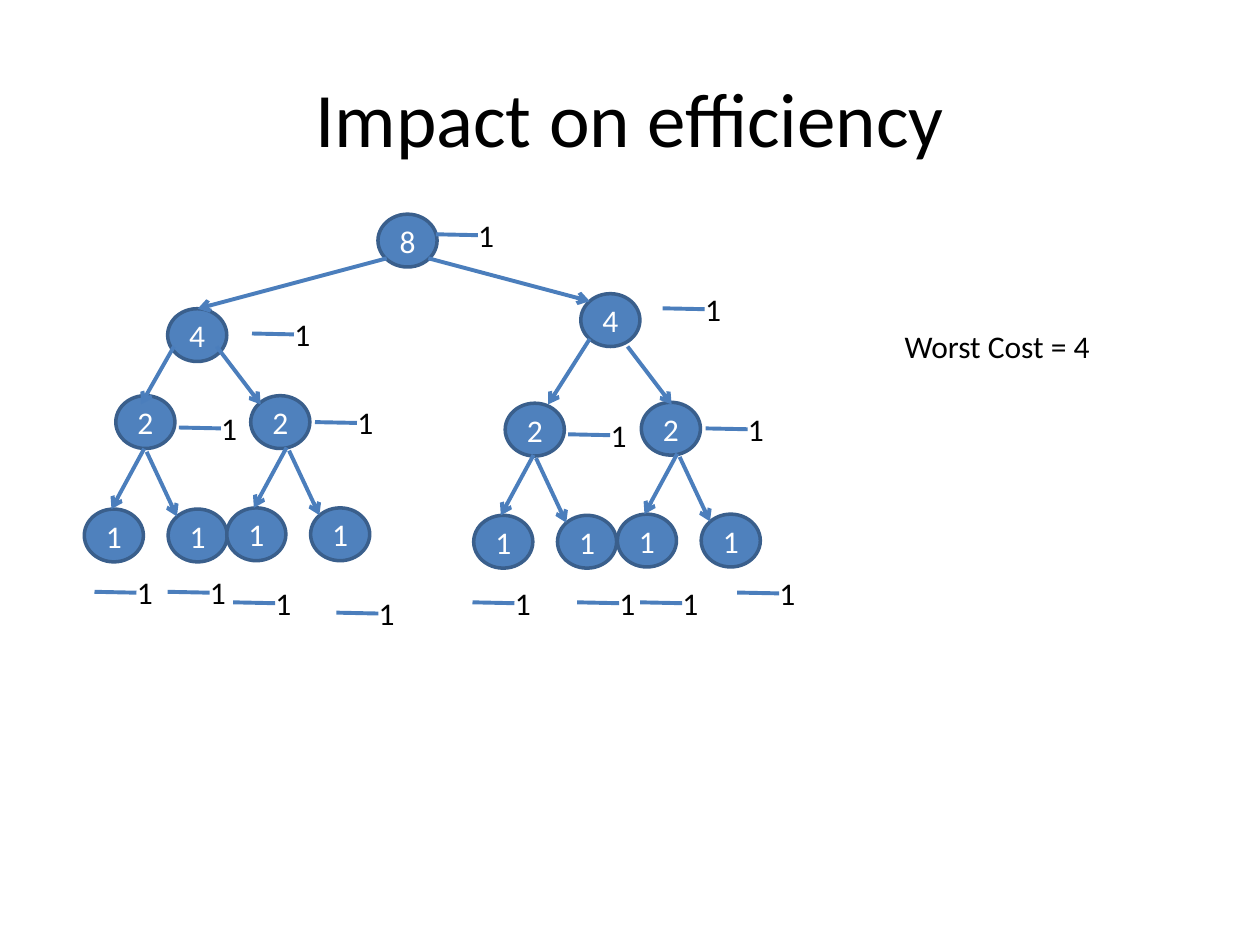
from pptx import Presentation
from pptx.dml.color import RGBColor
from pptx.enum.shapes import MSO_CONNECTOR, MSO_SHAPE
from pptx.enum.text import MSO_ANCHOR, PP_ALIGN
from pptx.oxml.ns import qn
from pptx.util import Pt
from lxml.etree import SubElement

HUES = {"text": "000000", "node": "4F81BD", "edge": "3A5F8C",
        "line": "4B7EBC", "light": "FFFFFF"}
FONT = "Calibri"
NODE_W, NODE_H = 33.8, 30.2

# Upper nodes of the tree: value, left, top
NODES = [
    ("8", 216, 122.4), ("4", 331.9, 167.8), ("4", 95.8, 176.4),
    ("2", 66.2, 226.1), ("2", 143.3, 226.1),
    ("2", 288.7, 230.4), ("2", 366.5, 229.9),
]
# Arrows between the upper nodes: x1, y1, x2, y2
ARROWS = [
    (221, 147.6, 113, 176.4), (244.8, 147.6, 337, 172.1),
    (99.4, 198, 80.6, 231.1), (123.8, 198, 149, 231.1),
    (337, 193.7, 313.2, 231.1), (358.6, 198, 383.8, 231.1),
]
# Pairs of leaves: left and top of the first leaf
PAIRS = [(48.2, 290.9), (129.6, 290.2), (270.7, 294.5), (352.8, 293.8)]
LEAF_GAP = 47.9
# Arrows into a pair, measured from its first leaf
TWIGS = [(34.2, -34.5, 15.5, 0), (35.6, -32.7, 52.9, 4.2)]
# Costs: start of the dash beside each node
COST = "1"
DASHES = [
    (249.1, 133.9), (144, 190.6), (378.7, 176.2),
    (102.2, 244.3), (180, 241.2), (324.7, 248.2), (403.2, 244.8),
    (54, 338.2), (95.8, 338.2), (133.2, 344.2), (192.2, 350.1),
    (270, 344.2), (329.8, 344.2), (365.8, 344.2), (421.2, 338.6),
]


def color(name):
    return RGBColor.from_string(HUES[name])


def write(frame, text, size=18, hue="text", align=PP_ALIGN.LEFT,
          anchor=MSO_ANCHOR.TOP, wrap=True):
    frame.word_wrap = wrap
    frame.vertical_anchor = anchor
    par = frame.paragraphs[0]
    par.alignment = align
    run = par.add_run()
    run.text = text
    run.font.name, run.font.size = FONT, Pt(size)
    run.font.color.rgb = color(hue)


def add_text(x, y, w, h, text, **style):
    box = slide.shapes.add_textbox(Pt(x), Pt(y), Pt(w), Pt(h))
    write(box.text_frame, text, **style)


def add_node(text, x, y):
    node = slide.shapes.add_shape(MSO_SHAPE.OVAL, Pt(x), Pt(y),
                                  Pt(NODE_W), Pt(NODE_H))
    node.shadow.inherit = False
    node.fill.solid()
    node.fill.fore_color.rgb = color("node")
    node.line.color.rgb = color("edge")
    node.line.width = Pt(2)
    frame = node.text_frame
    frame.margin_left = frame.margin_right = 0
    write(frame, text, hue="light", align=PP_ALIGN.CENTER,
          anchor=MSO_ANCHOR.MIDDLE)


def add_line(x1, y1, x2, y2, arrow=False):
    line = slide.shapes.add_connector(MSO_CONNECTOR.STRAIGHT, Pt(x1), Pt(y1),
                                      Pt(x2), Pt(y2))
    line.line.color.rgb = color("line")
    line.line.width = Pt(2.25)
    if arrow:
        SubElement(line.line._get_or_add_ln(), qn("a:tailEnd"), type="arrow")
    SubElement(line._element.spPr, qn("a:effectLst"))


deck = Presentation()
deck.slide_width, deck.slide_height = Pt(720), Pt(540)
slide = deck.slides.add_slide(deck.slide_layouts[6])

# Title and result
add_text(36, 21.6, 648, 90, "Impact on efficiency", size=44,
         align=PP_ALIGN.CENTER, anchor=MSO_ANCHOR.MIDDLE)
add_text(509.8, 183.6, 149.8, 28.8, "Worst Cost = 4")

# Upper tree
for value, x, y in NODES:
    add_node(value, x, y)
for ends in ARROWS:
    add_line(*ends, arrow=True)

# Leaves
for x, y in PAIRS:
    for i in range(2):
        add_node("1", x + i * LEAF_GAP, y)
    for x1, y1, x2, y2 in TWIGS:
        add_line(x + x1, y + y1, x + x2, y + y2, arrow=True)

# Costs
for x, y in DASHES:
    add_text(x + 17.1, y - 14.2, 36, 29.5, COST)
    add_line(x, y, x + 24, y + 0.5)

deck.save("out.pptx")
